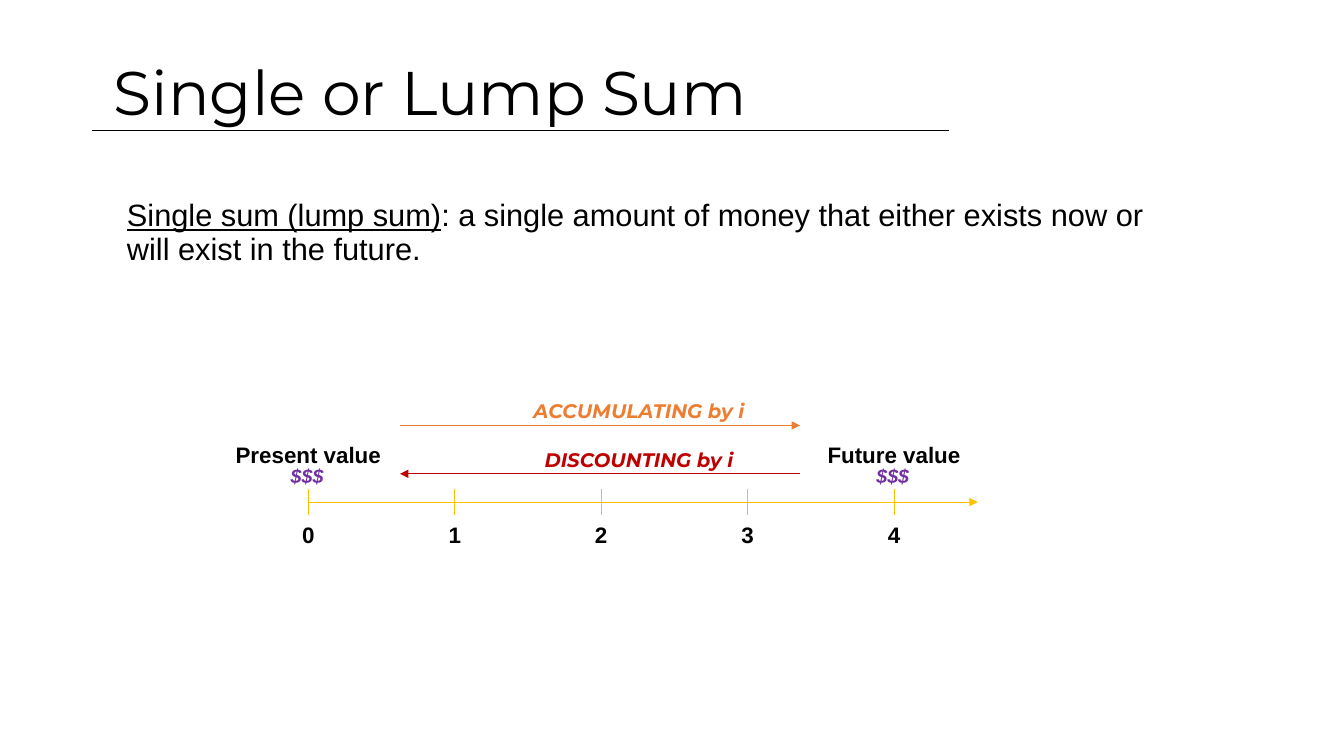
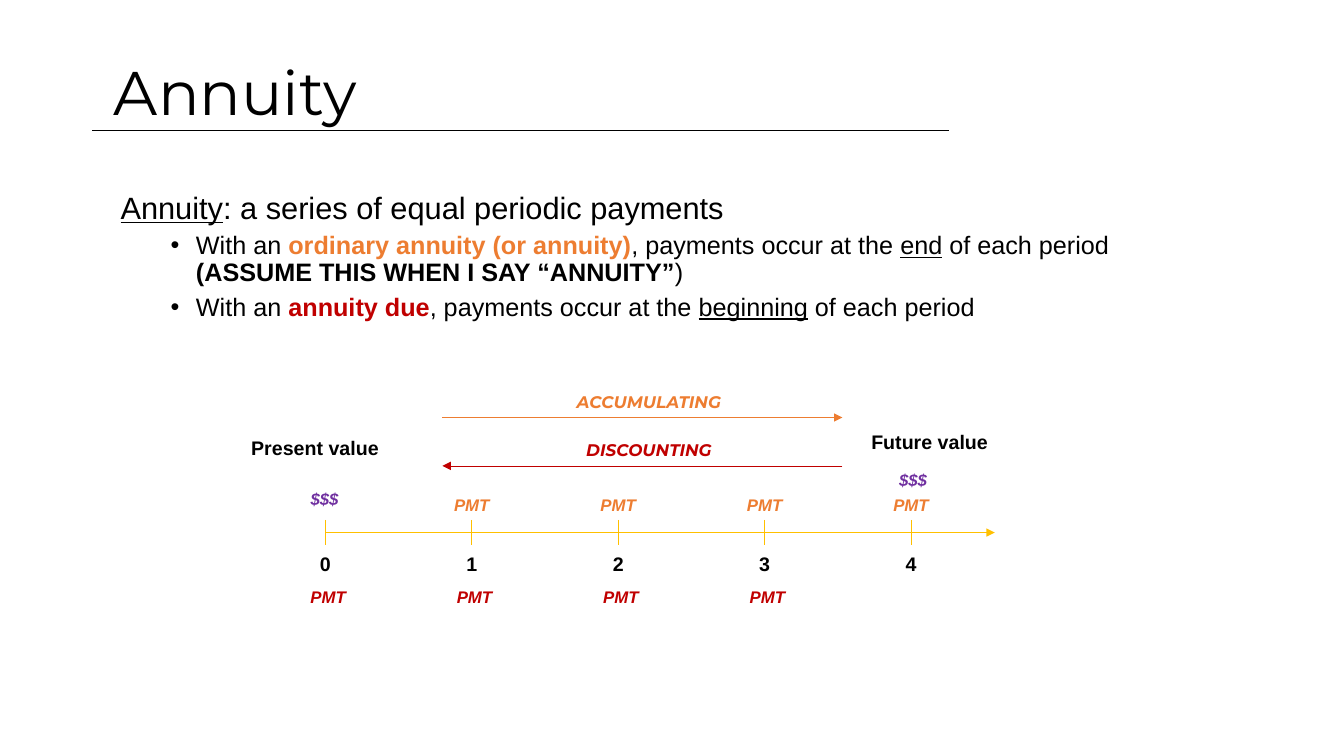
"""Build two slides that explain lump sums and annuities on a timeline."""
from dataclasses import dataclass

from lxml.etree import SubElement
from pptx import Presentation
from pptx.dml.color import RGBColor
from pptx.enum.shapes import MSO_CONNECTOR
from pptx.enum.text import MSO_ANCHOR, MSO_AUTO_SIZE as AutoSize, PP_ALIGN as Align
from pptx.oxml.ns import qn
from pptx.util import Cm, Pt


@dataclass(frozen=True)
class Theme:
    ink: str = "000000"
    gold: str = "FFC000"
    orange: str = "ED7D31"
    red: str = "C00000"
    purple: str = "7030A0"
    paper: str = "FFFFFF"
    display: str = "Montserrat"
    text: str = "Arial"
    title_size: int = 44
    lead_size: int = 22
    bullet_size: int = 18
    large: int = 16
    medium: int = 14
    small: int = 12
    hairline: float = 0.5
    rule: float = 1


THEME = Theme()


def write(paragraph, text, *, size, color=THEME.ink, font=THEME.text,
          bold=False, italic=False, underline=False):
    run = paragraph.add_run()
    run.text = text
    run.font.name = font
    run.font.size = Pt(size)
    run.font.bold = bold
    run.font.italic = italic
    run.font.underline = underline
    run.font.color.rgb = RGBColor.from_string(color)


class Deck:
    PITCH = 3.69
    PERIODS = 5
    AXIS_LENGTH = 16.87
    TICK = 0.32
    FLOW_LENGTH = 10.08

    def __init__(self, theme):
        self.theme = theme
        self.presentation = Presentation()
        self.presentation.slide_width = Cm(33.87)
        self.presentation.slide_height = Cm(19.05)
        self.slide = None

    def frame(self, left, top, width, height, wrap=True):
        box = self.slide.shapes.add_textbox(Cm(left), Cm(top), Cm(width), Cm(height))
        box.text_frame.word_wrap = wrap
        return box.text_frame

    def line(self, start, end, color, weight=THEME.hairline, arrow=False):
        connector = self.slide.shapes.add_connector(
            MSO_CONNECTOR.STRAIGHT, *map(Cm, (*start, *end)))
        connector.line.color.rgb = RGBColor.from_string(color)
        connector.line.width = Pt(weight)
        properties = connector.element.spPr
        if arrow:
            SubElement(properties.find(qn("a:ln")), qn("a:tailEnd"), type="triangle")
        SubElement(properties, qn("a:effectLst"))

    def new_slide(self, title):
        self.slide = self.presentation.slides.add_slide(self.presentation.slide_layouts[6])
        fill = self.slide.background.fill
        fill.solid()
        fill.fore_color.rgb = RGBColor.from_string(self.theme.paper)
        self.line((2.33, 3.29), (23.92, 3.29), self.theme.ink, self.theme.rule)
        heading = self.frame(2.62, 0.82, 23.65, 3.18)
        heading.vertical_anchor = MSO_ANCHOR.MIDDLE
        heading.paragraphs[0].line_spacing = 0.9
        write(heading.paragraphs[0], title, size=self.theme.title_size,
              font=self.theme.display)

    def definition(self, left, top, term, meaning, bullets=()):
        body = self.frame(left, top, 27.36, 10.57)
        lead = body.paragraphs[0]
        lead.line_spacing = 0.9
        write(lead, term, size=self.theme.lead_size, underline=True)
        write(lead, meaning, size=self.theme.lead_size)
        for phrases in bullets:
            bullet = body.add_paragraph()
            settings = bullet._p.get_or_add_pPr()
            settings.set("marL", str(Cm(1.9)))
            settings.set("indent", str(Cm(-0.64)))
            SubElement(settings, qn("a:buFont"), typeface=self.theme.text)
            SubElement(settings, qn("a:buChar"), char="•")
            bullet.line_spacing = 0.9
            bullet.space_before = Pt(5)
            for phrase, style in phrases:
                write(bullet, phrase, size=self.theme.bullet_size, **style)

    def label(self, text, center, top, width, size, align=Align.CENTER, **style):
        caption = self.frame(center - width / 2, top, width, 0.25 + size * 0.043, wrap=False)
        caption.auto_size = AutoSize.SHAPE_TO_FIT_TEXT
        caption.paragraphs[0].alignment = align
        write(caption.paragraphs[0], text, size=size, bold=True, **style)

    def timeline(self, left, axis, size):
        ticks = [left + period * self.PITCH for period in range(self.PERIODS)]
        self.line((left, axis), (left + self.AXIS_LENGTH, axis), self.theme.gold, arrow=True)
        for period, tick in enumerate(ticks):
            self.line((tick, axis - self.TICK), (tick, axis + self.TICK), self.theme.gold)
            self.label(str(period), tick, axis + 0.36, 0.9, size)
        return ticks

    def flow(self, text, start, end, y, center, width, size, color):
        self.line((start, y), (end, y), color, arrow=True)
        self.label(text, center, y - 0.78, width, size, Align.LEFT,
                   color=color, font=self.theme.display, italic=True)

    def flows(self, left, top, center, size, accumulating, discounting):
        right = left + self.FLOW_LENGTH
        self.flow(accumulating[0], left, right, top, center, accumulating[1],
                  size, self.theme.orange)
        self.flow(discounting[0], right, left, top + 1.22, center, discounting[1],
                  size, self.theme.red)

    def money(self, center, top, size):
        self.label("$$$", center, top, 1.8, size, color=self.theme.purple, italic=True)

    def payments(self, centers, top, color):
        for center in centers:
            self.label("PMT", center, top, 1.6, self.theme.small, color=color, italic=True)


def lump_sum_slide(deck):
    theme = deck.theme
    deck.new_slide("Single or Lump Sum")
    deck.definition(
        2.95, 4.92, "Single sum (lump sum)",
        ": a single amount of money that either exists now or will exist in the future.")
    ticks = deck.timeline(7.77, 12.65, theme.large)
    for name, tick, width in (("Present value", ticks[0], 4.3),
                              ("Future value", ticks[-1], 4)):
        deck.label(name, tick, 11, width, theme.large)
        deck.money(tick - 0.03, 11.56, theme.medium)
    deck.flows(10.08, 10.72, 16.28, theme.medium,
               ("ACCUMULATING by i", 6.17), ("DISCOUNTING by i", 5.61))


def annuity_slide(deck):
    theme = deck.theme
    plain, strong, underlined = {}, {"bold": True}, {"underline": True}
    deck.new_slide("Annuity")
    deck.definition(2.79, 4.73, "Annuity", ": a series of equal periodic payments", (
        (("With an ", plain),
         ("ordinary annuity (or annuity)", {"bold": True, "color": theme.orange}),
         (", payments occur at the ", plain), ("end", underlined),
         (" of each period ", plain),
         ("(ASSUME THIS WHEN I SAY “ANNUITY”", strong), (")", plain)),
        (("With an ", plain), ("annuity due", {"bold": True, "color": theme.red}),
         (", payments occur at the ", plain), ("beginning", underlined),
         (" of each period", plain)),
    ))
    ticks = deck.timeline(8.2, 13.42, theme.medium)
    deck.label("Present value", 7.94, 10.87, 3.8, theme.medium)
    deck.label("Future value", 23.43, 10.7, 3.5, theme.medium)
    deck.money(ticks[0] - 0.02, 12.19, theme.small)
    deck.money(ticks[-1] + 0.05, 11.71, theme.small)
    deck.payments(ticks[1:], 12.33, theme.orange)
    deck.payments([tick + 0.07 for tick in ticks[:-1]], 14.66, theme.red)
    deck.flows(11.15, 10.52, 16.48, theme.small,
               ("ACCUMULATING", 4.39), ("DISCOUNTING", 3.91))


def main():
    deck = Deck(THEME)
    lump_sum_slide(deck)
    annuity_slide(deck)
    deck.presentation.save("out.pptx")


if __name__ == "__main__":
    main()
